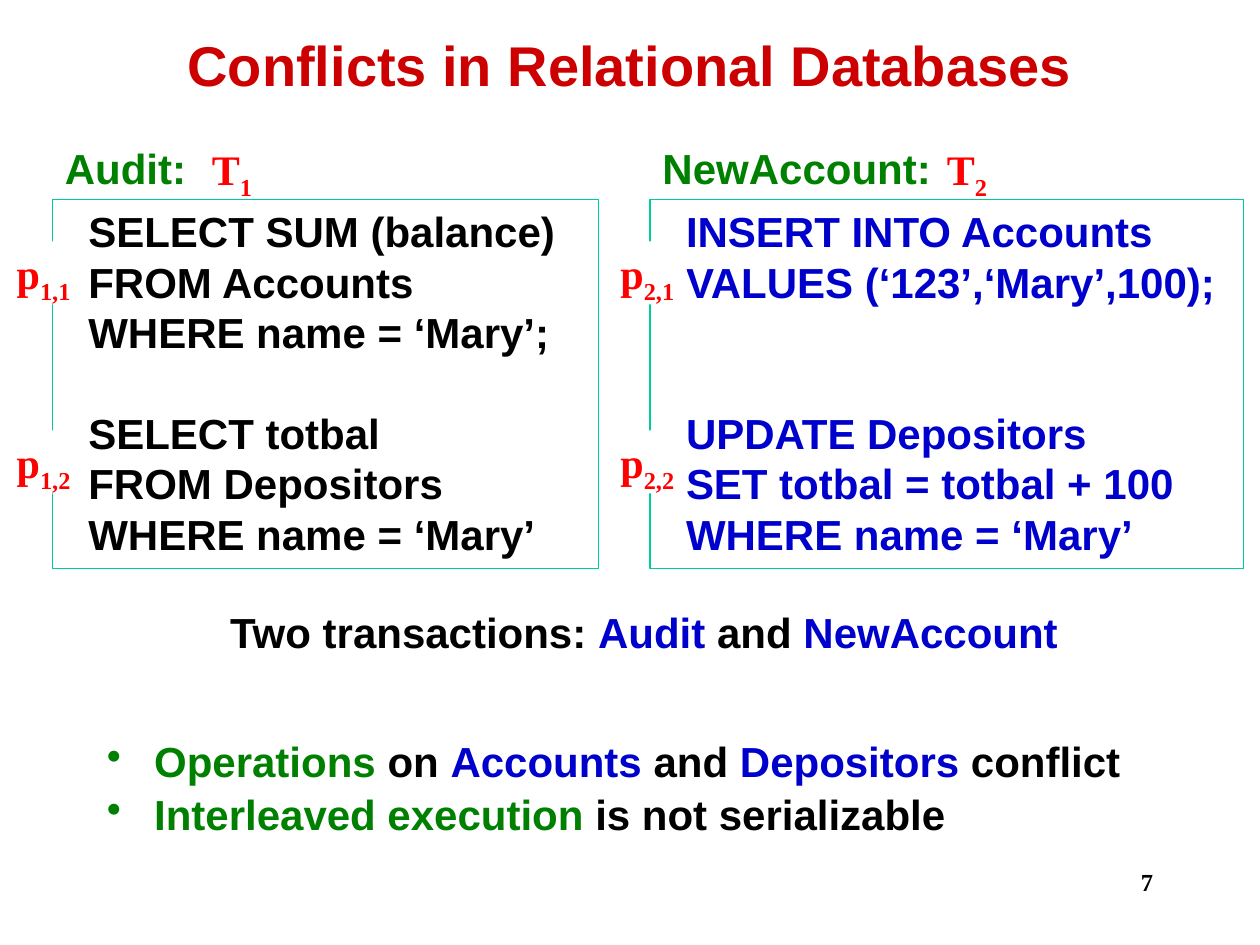
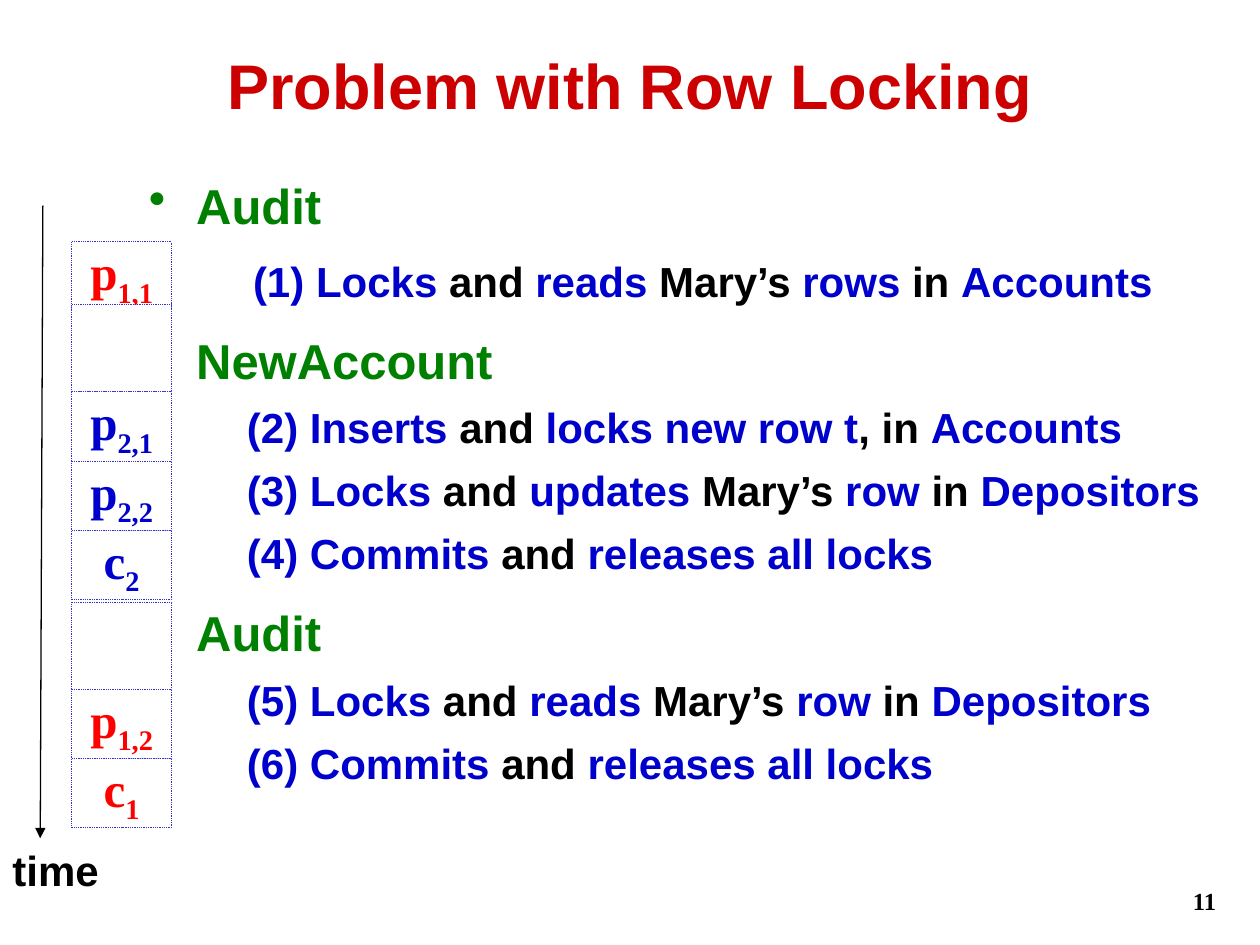
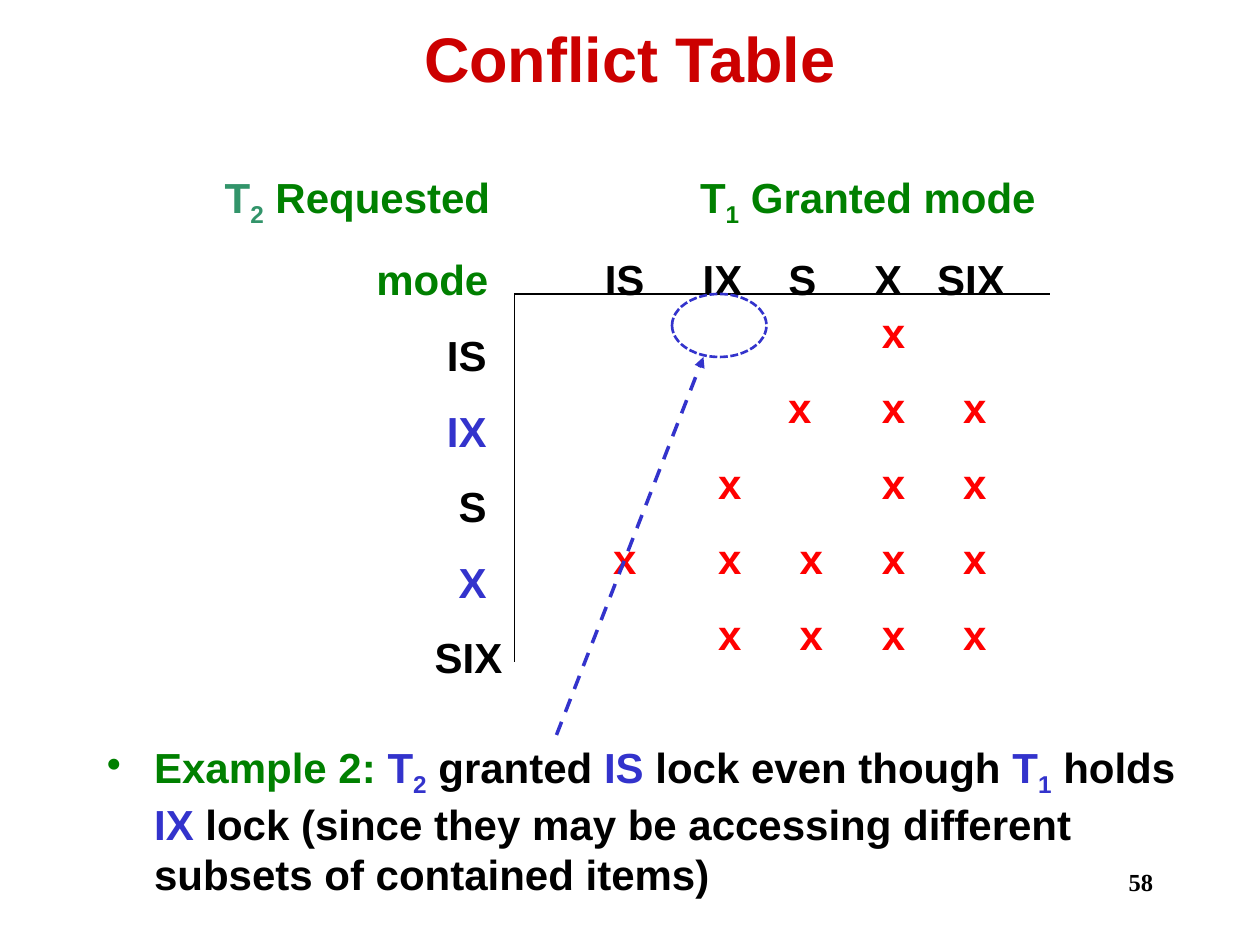
from lxml import etree
from pptx import Presentation
from pptx.dml.color import RGBColor
from pptx.enum.dml import MSO_LINE
from pptx.enum.shapes import MSO_CONNECTOR, MSO_SHAPE
from pptx.enum.text import MSO_ANCHOR, PP_ALIGN
from pptx.oxml.ns import qn
from pptx.util import Pt

RECT, OVAL = MSO_SHAPE.RECTANGLE, MSO_SHAPE.OVAL
STRAIGHT = MSO_CONNECTOR.STRAIGHT
LEFT, CENTER, RIGHT = PP_ALIGN.LEFT, PP_ALIGN.CENTER, PP_ALIGN.RIGHT
TOP, MIDDLE = MSO_ANCHOR.TOP, MSO_ANCHOR.MIDDLE
DASH, SYS_DASH, DOT = MSO_LINE.DASH, MSO_LINE.SQUARE_DOT, MSO_LINE.ROUND_DOT

SANS, SERIF = "Arial", "Times New Roman"
TITLE, GREEN, BLUE, RED = "CC0000", "008000", "0000CC", "FF0000"
INK, WHITE, FRAME, ACCENT, TEAL = "000000", "FFFFFF", "00CC99", "3333CC", "32946A"
SUB = True
FOOTER_BOX = (516, 492, 150, 36)
LINE = 28.8  # line height of 24 pt text


def rgb(value):
    return RGBColor.from_string(value)


def write(shape, paras, size=24, font=SANS, align=LEFT, anchor=TOP, margins=None):
    """Fill a shape; a paragraph is a list of (text, colour[, SUB]) runs."""
    tf = shape.text_frame
    tf.word_wrap = True
    tf.vertical_anchor = anchor
    if margins:
        (tf.margin_left, tf.margin_top,
         tf.margin_right, tf.margin_bottom) = [Pt(m) for m in margins]
    for i, runs in enumerate(paras):
        p = tf.add_paragraph() if i else tf.paragraphs[0]
        p.alignment = align
        for text, color, *sub in runs:
            r = p.add_run()
            r.text = text
            r.font.name, r.font.size, r.font.bold = font, Pt(size), True
            r.font.color.rgb = rgb(color)
            if sub:
                r._r.get_or_add_rPr().set("baseline", "-25000")
    return tf.paragraphs


def add_text(s, box, paras, **style):
    return write(s.shapes.add_textbox(*[Pt(v) for v in box]), paras, **style)


def set_line(line, color, width, dash=None):
    line.color.rgb = rgb(color)
    line.width = Pt(width)
    if dash:
        line.dash_style = dash


def add_box(s, box, kind=RECT, fill=None, line=None):
    """Add a preset shape; line is (colour, width[, dash])."""
    sp = s.shapes.add_shape(kind, *[Pt(v) for v in box])
    sp.shadow.inherit = False
    if fill:
        sp.fill.solid()
        sp.fill.fore_color.rgb = rgb(fill)
    else:
        sp.fill.background()
    if line:
        set_line(sp.line, *line)
    else:
        sp.line.fill.background()
    return sp


def add_line(s, start, end, color=INK, width=0.75, dash=None, arrow=False):
    cn = s.shapes.add_connector(STRAIGHT, *[Pt(v) for v in start + end])
    set_line(cn.line, color, width, dash)
    if arrow:
        etree.SubElement(cn.line._get_or_add_ln(), qn("a:tailEnd"), type="triangle")
    etree.SubElement(cn._element.spPr, qn("a:effectLst"))


def set_indent(p, left, first):
    pPr = p._p.get_or_add_pPr()
    pPr.set("marL", str(Pt(left)))
    pPr.set("indent", str(Pt(first)))
    return pPr


def add_bullet(p):
    pPr = set_indent(p, 27, -27)
    etree.SubElement(pPr, qn("a:buChar"), char="•")


def add_tabs(p, stops, align):
    tabs = etree.SubElement(p._p.get_or_add_pPr(), qn("a:tabLst"))
    for pos in stops:
        etree.SubElement(tabs, qn("a:tab"), pos=str(Pt(pos)), algn=align)


def new_slide(prs, title, number, title_box, title_size=36, footer_box=FOOTER_BOX):
    s = prs.slides.add_slide(prs.slide_layouts[6])
    add_text(s, title_box, [[(title, TITLE)]],
             size=title_size, align=CENTER, anchor=MIDDLE)
    add_text(s, footer_box, [[(number, INK)]], size=14, font=SERIF, align=RIGHT)
    return s


def transaction(s, box, name, number, number_x, marker_x, color, statements):
    """Frame SQL statements under their heading, with markers on the left edge."""
    x, y, w, h = box
    add_text(s, (x, y - 36, 180, 36), [[(name, GREEN)]])
    add_text(s, (number_x, y - 35.5, 54, 36),
             [[("T", RED), (number, RED, SUB)]], font=SERIF)
    lines = [[(line, color)] for lines in statements for line in lines]
    ps = write(add_box(s, box, line=(FRAME, 0.75)), lines,
               margins=(20.5, 3.6, 0, 3.6))
    first = len(statements[0])
    ps[first].space_before = Pt((4 - first) * LINE)
    for i, dy in enumerate((24, 132), 1):
        marker = add_box(s, (marker_x, y + dy, 45.4, 36), fill=WHITE)
        write(marker, [[("p", RED), (f"{number},{i}", RED, SUB)]], font=SERIF,
              align=RIGHT, margins=(0, 3.6, 7.2, 3.6))


def conflicts_slide(prs):
    s = new_slide(prs, "Conflicts in Relational Databases", "7",
                  (54, 6.5, 612, 60), title_size=32)
    ps = add_text(s, (54, 420, 666, 65), [
        [("Operations", GREEN), (" on ", INK), ("Accounts", BLUE),
         (" and ", INK), ("Depositors", BLUE), (" conflict", INK)],
        [("Interleaved execution", GREEN), (" is not serializable", INK)]])
    for p in ps:
        p.line_spacing = 0.9
        add_bullet(p)
    ps[1].space_before = Pt(4.5)
    p, = add_text(s, (64, 346.5, 608, 33), [
        [("Two transactions: ", INK), ("Audit ", BLUE), ("and ", INK),
         ("NewAccount", BLUE)]], align=CENTER)
    p.line_spacing = 0.9
    transaction(s, (30, 114, 312, 211), "Audit:", "1", 114, 2, INK, [
        ["SELECT SUM (balance)", "FROM Accounts", "WHERE name = ‘Mary’;"],
        ["SELECT totbal", "FROM Depositors", "WHERE name = ‘Mary’"]])
    transaction(s, (371.5, 114, 339, 211), "NewAccount:", "2", 534, 347, BLUE, [
        ["INSERT INTO Accounts", "VALUES (‘123’,‘Mary’,100);"],
        ["UPDATE Depositors", "SET totbal = totbal + 100", "WHERE name = ‘Mary’"]])


def locking_steps(s, box):
    row_in = [(" Mary’s ", INK), ("row", BLUE), (" in ", INK), ("Depositors", BLUE)]
    release = [("Commits", BLUE), (" and ", INK), ("releases all locks", BLUE)]
    stages = [
        ("Audit", [[("Locks", BLUE), (" and", INK), (" reads", BLUE),
                    (" Mary’s ", INK), ("rows", BLUE), (" in ", INK),
                    ("Accounts", BLUE)]]),
        ("NewAccount", [[("Inserts", BLUE), (" and ", INK),
                         ("locks new row t", BLUE), (", in ", INK),
                         ("Accounts", BLUE)],
                        [("Locks", BLUE), (" and ", INK), ("updates", BLUE)] + row_in,
                        release]),
        ("Audit", [[("Locks", BLUE), (" and ", INK), ("reads", BLUE)] + row_in,
                   release])]
    paras, heads = [], []
    for name, steps in stages:
        heads.append(len(paras))
        paras.append([(name, GREEN)])
        for (verb, color), *rest in steps:
            number = len(paras) - len(heads) + 1
            paras.append([(f"({number}) {verb}", color)] + rest)
    ps = add_text(s, box, paras)
    for i, p in enumerate(ps):
        if i in heads:
            p.runs[0].font.size = Pt(28)
            p.space_before = Pt(14 if i else 0)
            set_indent(p, 27, 0)
        else:
            p.space_before = Pt(7.2)
            set_indent(p, 56, 0)
    ps[1].space_before = Pt(12.3)
    set_indent(ps[1], 59.5, 0)
    add_bullet(ps[0])


def schedule(s, x, y, w):
    """Stack the operations in time order; each slot is (label, index, colour, step)."""
    slots = [("p", "1,1", RED, 36), ("", "", INK, 49.7),
             ("p", "2,1", BLUE, 39.6), ("p", "2,2", BLUE, 39.6),
             ("c", "2", BLUE, 41), ("", "", INK, 49.7),
             ("p", "1,2", RED, 39.6), ("c", "1", RED, 39.6)]
    for label, index, color, step in slots:
        cell = add_box(s, (x, y, w, 39.6 if label else step), fill=WHITE,
                       line=(ACCENT, 0.5, DOT))
        if label:
            write(cell, [[(label, color), (index, color, SUB)]], size=28,
                  font=SERIF, align=CENTER, margins=(0, 0, 0, 8.6))
        y += step


def locking_slide(prs):
    s = new_slide(prs, "Problem with Row Locking", "11", (54, 12, 612, 72),
                  footer_box=(624, 502.5, 78, 27))
    locking_steps(s, (78, 96.5, 624, 396))
    add_line(s, (24.5, 117.5), (23, 479), arrow=True)
    add_text(s, (0, 479, 70, 36), [[("time", INK)]])
    schedule(s, 41, 138.2, 57)


def conflict_matrix(s, x, y):
    """Place mode headings and conflict marks on tab stops beside the two axes."""
    modes = [("IS", INK), ("IX", ACCENT), ("S", INK), ("X", ACCENT), ("SIX", INK)]
    paras = [
        [("\tT", TEAL), ("2", TEAL, SUB), (" Requested", GREEN), ("\tT", GREEN),
         ("1", GREEN, SUB), (" Granted mode", GREEN)],
        [("\tmode", GREEN)] + [("\t" + mode, INK) for mode, _ in modes]]
    paras += [[("\t" + mode, color)] for mode, color in modes]
    ps = add_text(s, (x, y, 510, 310), paras)
    add_tabs(ps[0], (13.3, 285), "l")
    add_tabs(ps[1], (100, 230.5, 286.5, 335.5, 384.5, 420.5), "l")
    for p, (mode, _) in zip(ps[2:], modes):
        add_tabs(p, (172 if mode == "SIX" else 163,), "r")

    marks = [(173.5,), (120, 173.5, 220), (80, 173.5, 220),
             (20, 80, 126.5, 173.5, 220), (80, 126.5, 173.5, 220)]
    marked = add_text(s, (x + 222, y + 79, 252, 227),
                      [[("\tx" * len(stops), RED)] for stops in marks])
    for p, stops in zip(marked, marks):
        add_tabs(p, stops, "ctr")
    for p in ps + marked:
        p.line_spacing = 1.5

    corner = (x + 186, y + 90)
    add_line(s, corner, (x + 492, y + 90))
    add_line(s, corner, (x + 186, y + 300))
    add_box(s, (x + 276, y + 90, 54, 36), kind=OVAL, line=(ACCENT, 1.5, SYS_DASH))
    add_line(s, (x + 210, y + 342), (x + 294, y + 126), ACCENT, 2, DASH, arrow=True)


def conflict_table_slide(prs):
    s = new_slide(prs, "Conflict Table", "58", (54, 0, 612, 66))
    p, = add_text(s, (54, 420, 648, 108), [
        [("Example 2: ", GREEN), ("T", ACCENT), ("2", ACCENT, SUB),
         (" granted ", INK), ("IS ", ACCENT), ("lock even though ", INK),
         ("T", ACCENT), ("1", ACCENT, SUB), (" holds ", INK), ("IX ", ACCENT),
         ("lock (since they may be accessing different subsets of contained items)",
          INK)]])
    add_bullet(p)
    conflict_matrix(s, 108, 78)


def main():
    prs = Presentation()
    prs.slide_width, prs.slide_height = Pt(720), Pt(540)
    conflicts_slide(prs)
    locking_slide(prs)
    conflict_table_slide(prs)
    prs.save("out.pptx")


if __name__ == "__main__":
    main()
